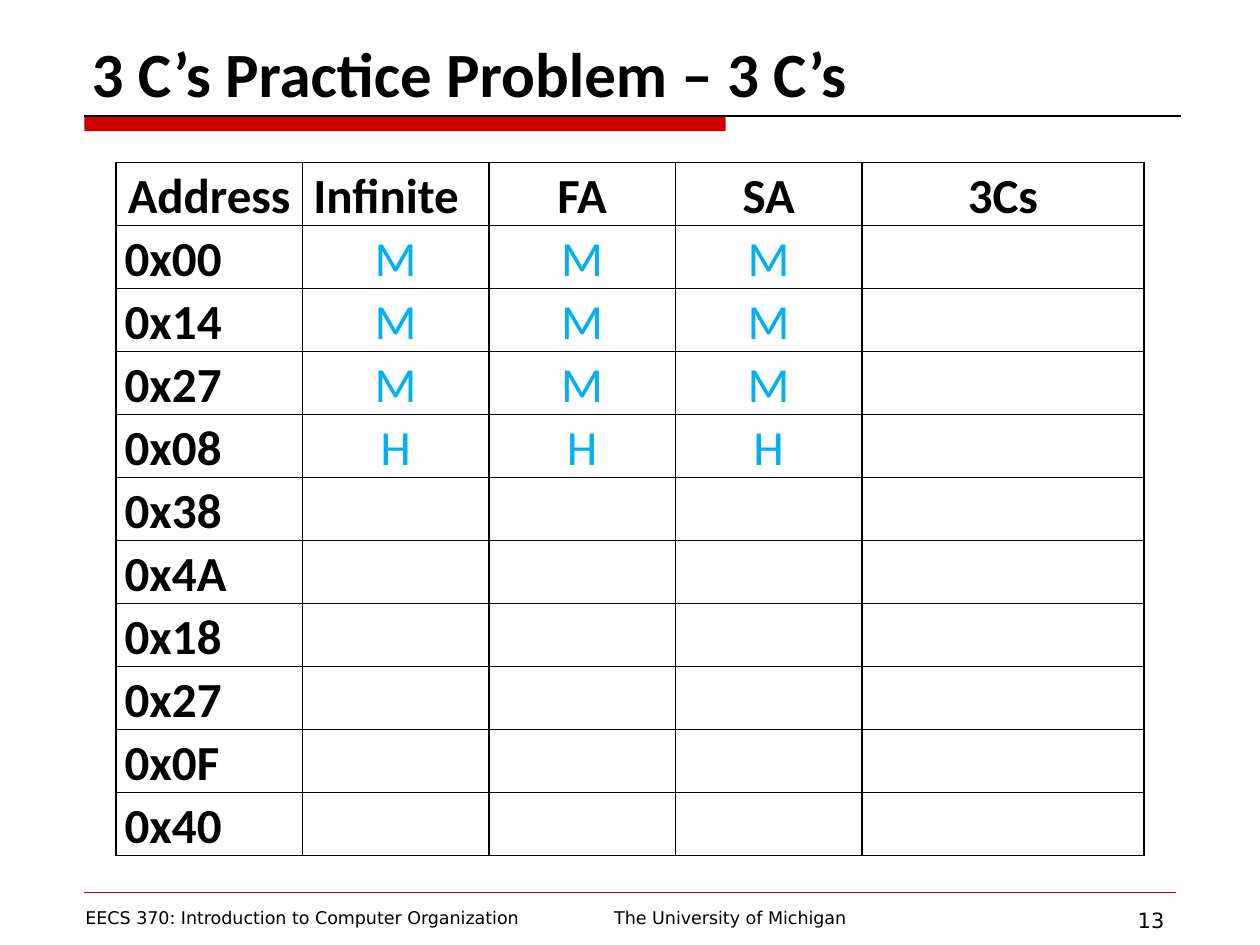
import pptx
import pptx.util
import pptx.dml.color
import pptx.enum.shapes
import pptx.enum.text
import pptx.oxml.ns
import lxml.etree

Inches = pptx.util.Inches
Pt = pptx.util.Pt
ALIGN = pptx.enum.text.PP_ALIGN
ANCHOR = pptx.enum.text.MSO_ANCHOR
HUES = {"ink": "000000", "red": "CC0000", "blue": "00B0F0"}
HEAD = ["Address", "Infinite", "FA", "SA", "3Cs"]
ROWS = {"0x00": "M", "0x14": "M", "0x27": "M", "0x08": "H"}
REST = ["0x38", "0x4A", "0x18", "0x27", "0x0F", "0x40"]


class Deck:
    """Holds the style and the current slide, and draws each kind of element."""

    def __init__(self):
        self.file = pptx.Presentation()
        self.file.slide_width, self.file.slide_height = Inches(10), Inches(7.5)
        self.slide = self.file.slides.add_slide(self.file.slide_layouts[6])
        self.shapes = self.slide.shapes

    def hue(self, name):
        return pptx.dml.color.RGBColor.from_string(HUES[name])

    def label(self, para, text, size, font, hue="ink", bold=False, align=ALIGN.LEFT):
        para.text, para.alignment = text, align
        look = {"size": Pt(size), "name": font, "bold": bold}
        for key, value in look.items():
            setattr(para.font, key, value)
        para.font.color.rgb = self.hue(hue)

    def text(self, box, text, size, font="DejaVu Sans", anchor=ANCHOR.TOP, **look):
        frame = self.shapes.add_textbox(*map(Inches, box)).text_frame
        frame.word_wrap, frame.vertical_anchor = True, anchor
        self.label(frame.paragraphs[0], text, size, font, **look)

    def bar(self, box, hue):
        kind = pptx.enum.shapes.MSO_SHAPE.RECTANGLE
        shape = self.shapes.add_shape(kind, *map(Inches, box))
        shape.shadow.inherit = False
        shape.fill.solid()
        shape.fill.fore_color.rgb = self.hue(hue)
        shape.line.fill.background()

    def rule(self, left, right, top, hue, width):
        kind = pptx.enum.shapes.MSO_CONNECTOR.STRAIGHT
        ends = map(Inches, (left, top, right, top))
        line = self.shapes.add_connector(kind, *ends)
        line.line.color.rgb, line.line.width = self.hue(hue), Pt(width)
        tag = pptx.oxml.ns.qn("a:effectLst")
        lxml.etree.SubElement(line._element.spPr, tag)

    def edge(self, cell):
        name = pptx.oxml.ns.qn
        props = cell._tc.get_or_add_tcPr()
        for side in ("a:lnL", "a:lnR", "a:lnT", "a:lnB"):
            line = lxml.etree.SubElement(props, name(side), w=str(Pt(1)))
            fill = lxml.etree.SubElement(line, name("a:solidFill"))
            lxml.etree.SubElement(fill, name("a:srgbClr"), val=HUES["ink"])
        cell.fill.background()

    def table(self, left, top, widths, height, rows):
        box = (left, top, sum(widths), height * len(rows))
        grid = self.shapes.add_table(len(rows), len(widths), *map(Inches, box)).table
        grid.first_row = grid.horz_banding = False
        for col, width in zip(grid.columns, widths):
            col.width = Inches(width)
        pads = {"margin_left": 0.07, "margin_right": 0.07, "margin_top": 0, "margin_bottom": 0}
        for r, row in enumerate(rows):
            grid.rows[r].height = Inches(height)
            for c, text in enumerate(row):
                cell = grid.cell(r, c)
                for key, value in pads.items():
                    setattr(cell, key, Inches(value))
                self.edge(cell)
                if text:
                    para = cell.text_frame.paragraphs[0]
                    bold = r == 0 or c == 0
                    align = ALIGN.LEFT if r and c == 0 else ALIGN.CENTER
                    self.label(para, text, 28, "Calibri", "ink" if bold else "blue", bold, align)
                    para.line_spacing = 1.07
        return grid


def main():
    deck = Deck()
    deck.bar((0.67, 0.92, 5.09, 0.12), "red")
    deck.rule(0.67, 9.37, 0.92, "ink", 0.75)
    deck.rule(0.67, 9.33, 7.08, "red", 0.25)
    deck.text((3.92, 7.15, 3.75, 0.27), "The University of Michigan", 10, align=ALIGN.CENTER)
    deck.text((0.63, 0, 9.37, 0.92), "3 C’s Practice Problem – 3 C’s", 36, "Calibri",
              ANCHOR.BOTTOM, bold=True)
    deck.text((0.58, 7.15, 3.92, 0.27), "EECS 370: Introduction to Computer Organization", 10)
    deck.text((7.67, 7.15, 1.67, 0.3), "13", 12, align=ALIGN.RIGHT)
    rows = [HEAD] + [[key, mark, mark, mark, ""] for key, mark in ROWS.items()]
    rows += [[key, "", "", "", ""] for key in REST]
    grid = deck.table(0.92, 1.29, [1.48] * 4 + [2.24], 0.5, rows)
    grid.cell(0, 1).margin_right = Inches(0.22)
    deck.file.save("out.pptx")


if __name__ == "__main__":
    main()
